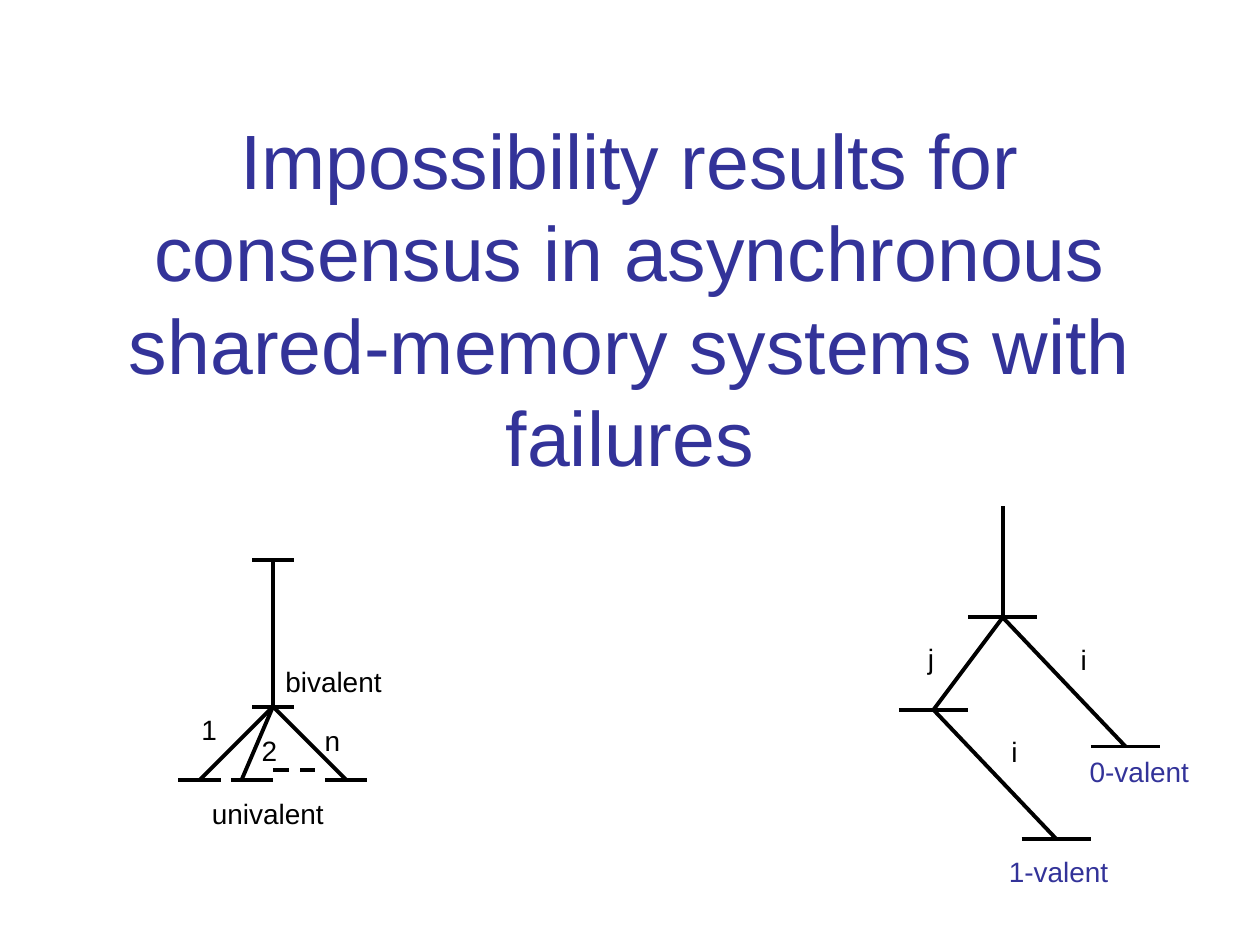
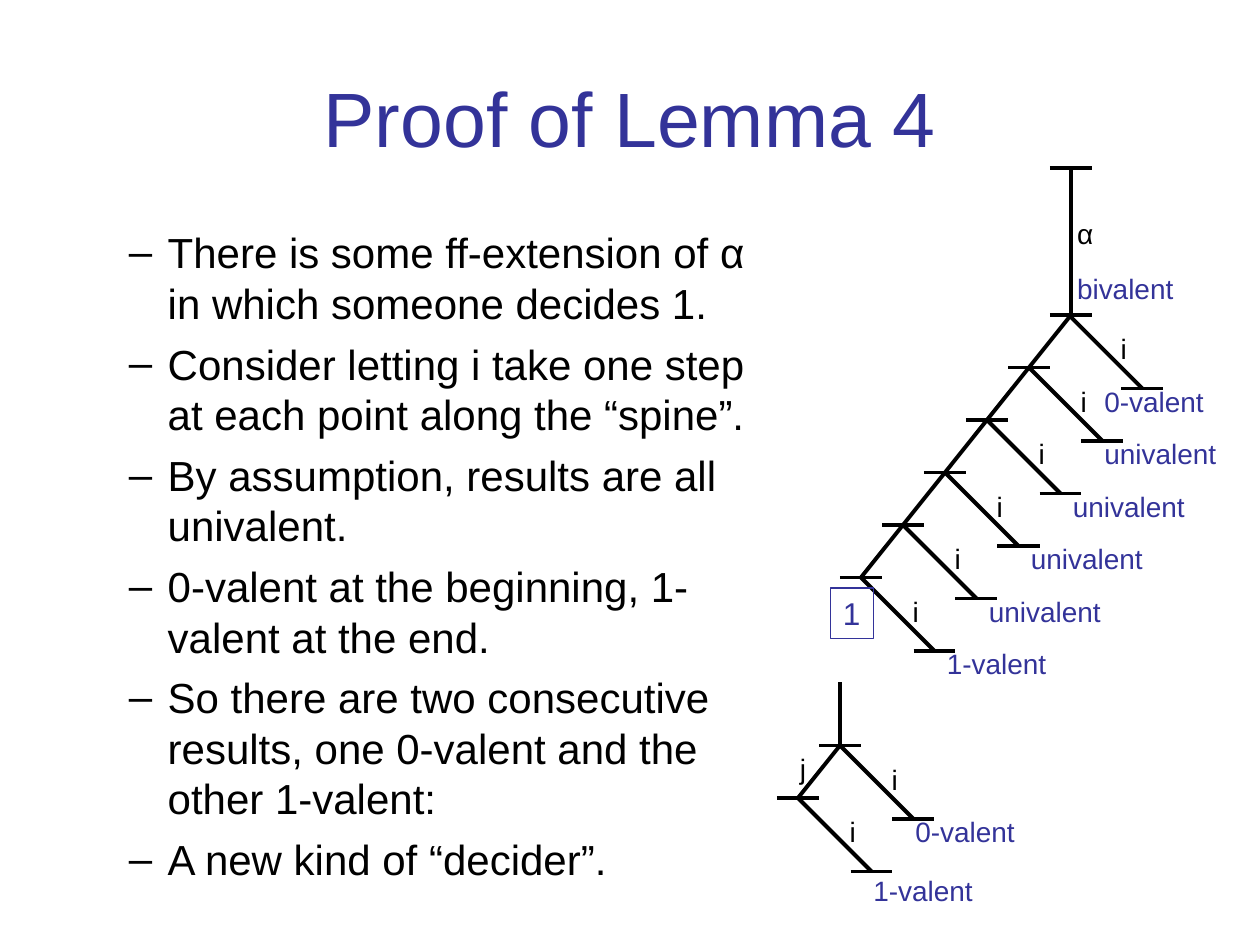
from dataclasses import dataclass

import lxml.etree
import pptx
import pptx.dml.color
import pptx.enum.dml
import pptx.enum.shapes
import pptx.enum.text
import pptx.oxml.ns
import pptx.util

EMU_PER_PX = 7620  # 120 px to the inch
SLIDE_W, SLIDE_H = 1200, 900
LABEL_H = 44
LABEL_WIDTHS = {"0-valent": 119, "1-valent": 119, "bivalent": 117, "univalent": 131,
                " i": 37, "j": 30, " n": 47, " 2": 47, "1": 54, "α": 43}
Point = tuple[int, int]
Align = pptx.enum.text.PP_ALIGN
Anchor = pptx.enum.text.MSO_ANCHOR


@dataclass(frozen=True)
class Theme:
    font: str = "Arial"
    accent: str = "333399"
    ink: str = "000000"
    title_pt: int = 44
    body_pt: int = 24
    decision_pt: int = 18
    label_pt: int = 16
    edge_pt: float = 2.25
    box_line_pt: float = 0.75


THEME = Theme()


@dataclass(frozen=True)
class Label:
    text: str
    at: Point
    color: str = THEME.ink
    wrap: bool = False


@dataclass(frozen=True)
class Decider:
    """A node whose j step swaps the valence that a step of i leads to."""
    root: Point
    stem: int
    j_step: Point
    i_step: Point
    half_bar: int
    j_label: Point
    i_label: Point
    zero_label: Point
    one_label: Point


WIDE_DECIDER = Decider((955, 588), 106, (-66, 88), (117, 123), 33,
                       (-83, 17), (55, 18), (-46, 2), (-57, 9))
SMALL_DECIDER = Decider((800, 710), 60, (-40, 50), (70, 70), 20,
                        (-50, 0), (30, 10), (-10, -10), (-10, -4))

PROOF_STEPS = [
    "There is some ff-extension of α in which someone decides 1.",
    "Consider letting i take one step at each point along the “spine”.",
    "By assumption, results are all univalent.",
    "0-valent at the beginning, 1-valent at the end.",
    "So there are two consecutive results, one 0-valent and the other 1-valent:",
    "A new kind of “decider”.",
]


def px(length: int) -> pptx.util.Emu:
    return pptx.util.Emu(length * EMU_PER_PX)


def rgb(color: str) -> pptx.dml.color.RGBColor:
    return pptx.dml.color.RGBColor.from_string(color)


def shift(start: Point, step: Point) -> Point:
    return start[0] + step[0], start[1] + step[1]


# Text
def write(frame, *lines: str, size: int = THEME.label_pt, color: str = THEME.ink,
          align=Align.LEFT, anchor=Anchor.TOP, wrap: bool = True, grow: bool = False,
          before: int = 0, bullet: str = "") -> None:
    fit = pptx.enum.text.MSO_AUTO_SIZE
    frame.word_wrap = wrap
    frame.auto_size = fit.SHAPE_TO_FIT_TEXT if grow else fit.NONE
    frame.vertical_anchor = anchor
    for number, line in enumerate(lines):
        paragraph = frame.add_paragraph() if number else frame.paragraphs[0]
        paragraph.alignment = align
        paragraph.space_before = pptx.util.Pt(before)
        run = paragraph.add_run()
        run.text = line
        run.font.size = pptx.util.Pt(size)
        run.font.name = THEME.font
        run.font.color.rgb = rgb(color)
        if bullet:
            add_bullet(paragraph, bullet, color)


def add_bullet(paragraph, mark: str, color: str) -> None:
    paragraph.level = 1
    properties = paragraph._p.get_or_add_pPr()
    properties.set("marL", str(px(98)))
    properties.set("indent", str(px(-37)))
    qn = pptx.oxml.ns.qn
    fill = lxml.etree.SubElement(properties, qn("a:buClr"))
    lxml.etree.SubElement(fill, qn("a:srgbClr"), val=color)
    lxml.etree.SubElement(properties, qn("a:buFont"), typeface=THEME.font)
    lxml.etree.SubElement(properties, qn("a:buChar"), char=mark)


def add_titled_slide(deck, title: str, height: int):
    slide = deck.slides.add_slide(deck.slide_layouts[5])
    heading = slide.shapes.title
    heading.left, heading.top = px(60), px(36)
    heading.width, heading.height = px(1080), px(height)
    write(heading.text_frame, title, size=THEME.title_pt, color=THEME.accent,
          align=Align.CENTER, anchor=Anchor.MIDDLE)
    return slide


def add_label(slide, label: Label) -> None:
    width = LABEL_WIDTHS[label.text]
    box = slide.shapes.add_textbox(*map(px, (*label.at, width, LABEL_H)))
    write(box.text_frame, label.text, color=label.color, wrap=label.wrap, grow=True)


# Tree parts
def add_edge(slide, start: Point, end: Point, dashed: bool = False) -> None:
    edge = slide.shapes.add_connector(
        pptx.enum.shapes.MSO_CONNECTOR.STRAIGHT, *map(px, (*start, *end)))
    edge.line.color.rgb = rgb(THEME.ink)
    edge.line.width = pptx.util.Pt(THEME.edge_pt)
    if dashed:
        edge.line.dash_style = pptx.enum.dml.MSO_LINE.DASH
    lxml.etree.SubElement(edge._element.spPr, pptx.oxml.ns.qn("a:effectLst"))


def add_bar(slide, center: Point, half: int = 20) -> None:
    add_edge(slide, shift(center, (-half, 0)), shift(center, (half, 0)))


def add_branch(slide, start: Point, step: Point, half: int = 20) -> Point:
    end = shift(start, step)
    add_edge(slide, start, end)
    add_bar(slide, end, half)
    return end


def add_stem(slide, top: Point) -> Point:
    add_bar(slide, top)
    return add_branch(slide, top, (0, 140))


def add_decider(slide, tree: Decider) -> None:
    add_branch(slide, shift(tree.root, (0, -tree.stem)), (0, tree.stem), tree.half_bar)
    after_j = add_branch(slide, tree.root, tree.j_step, tree.half_bar)
    add_label(slide, Label("j", shift(tree.root, tree.j_label)))
    for node, valence, offset in ((tree.root, "0-valent", tree.zero_label),
                                  (after_j, "1-valent", tree.one_label)):
        leaf = add_branch(slide, node, tree.i_step, tree.half_bar)
        add_label(slide, Label(" i", shift(node, tree.i_label)))
        add_label(slide, Label(valence, shift(leaf, offset), THEME.accent))


def add_bivalent_fan(slide) -> None:
    """A bivalent node whose n extensions are all univalent."""
    node = add_stem(slide, (260, 533))
    for foot_x, bar_x in ((190, 190), (230, 240), (330, 330)):
        add_edge(slide, node, (foot_x, 743))
        add_bar(slide, (bar_x, 743))
    add_edge(slide, (260, 733), (300, 733), dashed=True)
    for label in (Label("1", (180, 673), wrap=True), Label(" 2", (230, 693)),
                  Label(" n", (290, 683)), Label("bivalent", (260, 627)),
                  Label("univalent", (190, 753))):
        add_label(slide, label)


def add_spine(slide) -> None:
    """A path to decision 1, with one step of i tried at every node."""
    node = add_stem(slide, (1020, 160))
    add_label(slide, Label("α", (1014, 200), wrap=True))
    add_label(slide, Label("bivalent", (1014, 253), THEME.accent))
    valences = ["0-valent"] + ["univalent"] * 4 + ["1-valent"]
    label_shifts = (20, 60, 70, 70, 70, 70)
    for number, (valence, label_x) in enumerate(zip(valences, label_shifts)):
        if number:
            node = add_branch(slide, node, (-40, 50))
        fork = node if number else shift(node, (-2, 0))
        add_branch(slide, fork, (70, 70))
        add_label(slide, Label(" i", shift(fork, (30, 10))))
        add_label(slide, Label(valence, shift(node, (label_x, 60)), THEME.accent))

    # Decision reached at the end of the spine
    decision = slide.shapes.add_shape(
        pptx.enum.shapes.MSO_SHAPE.RECTANGLE, *map(px, (791, 560, 41, 48)))
    decision.shadow.inherit = False
    decision.fill.background()
    decision.line.color.rgb = rgb(THEME.accent)
    decision.line.width = pptx.util.Pt(THEME.box_line_pt)
    write(decision.text_frame, "1", size=THEME.decision_pt, color=THEME.accent,
          wrap=False, grow=True)


# Slides
def build_opening(deck) -> None:
    slide = add_titled_slide(deck, "Impossibility results for consensus in asynchronous "
                             "shared-memory systems with failures", 494)
    add_decider(slide, WIDE_DECIDER)
    add_bivalent_fan(slide)


def build_proof(deck) -> None:
    slide = add_titled_slide(deck, "Proof of Lemma 4", 150)
    argument = slide.shapes.add_textbox(*map(px, (50, 210, 710, 640)))
    write(argument.text_frame, *PROOF_STEPS, size=THEME.body_pt, before=6, bullet="–")
    add_spine(slide)
    add_decider(slide, SMALL_DECIDER)


def main() -> None:
    deck = pptx.Presentation()
    deck.slide_width, deck.slide_height = px(SLIDE_W), px(SLIDE_H)
    build_opening(deck)
    build_proof(deck)
    deck.save("out.pptx")


if __name__ == "__main__":
    main()
